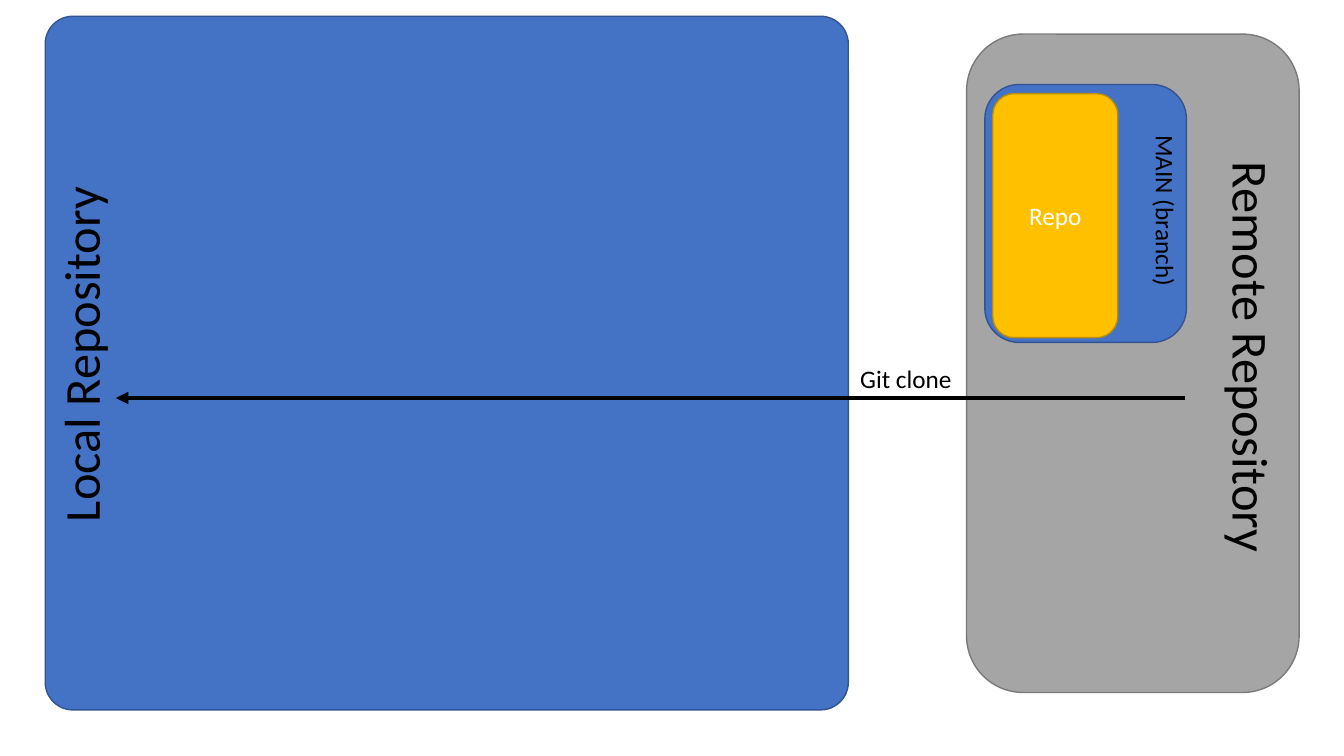
from lxml import etree
from pptx import Presentation
from pptx import util as u
from pptx.dml.color import RGBColor
from pptx.enum import shapes, text
from pptx.oxml import ns

COLOURS = {
    "grey": "A5A5A5", "grey edge": "7A7A7A",
    "blue": "4472C4", "blue edge": "325491",
    "gold": "FFC000", "gold edge": "BD8E00",
    "black": "000000", "white": "FFFFFF",
}


def colour(name):
    return RGBColor.from_string(COLOURS[name])


def write(shape, words, size, ink):
    frame = shape.text_frame
    frame.word_wrap = True
    frame.text = words
    paragraph = frame.paragraphs[0]
    paragraph.alignment = text.PP_ALIGN.CENTER
    font = paragraph.runs[0].font
    font.name = "Calibri"
    font.size = u.Pt(size)
    font.color.rgb = colour(ink)


deck = Presentation()
deck.slide_width, deck.slide_height = u.Cm(33.87), u.Cm(19.05)
slide = deck.slides.add_slide(deck.slide_layouts[6])

# Repositories, branch and its content, from back to front
areas = [
    # left, top, width, height, corner, fill, words
    (24.36, 0.86, 8.38, 16.59, 0.17, "grey", ""),
    (1.14, 0.41, 20.24, 17.48, 0.04, "blue", ""),
    (24.82, 2.13, 5.08, 6.5, 0.17, "blue", ""),
    (25.02, 2.36, 3.15, 6.15, 0.17, "gold", "Repo"),
]
for left, top, width, height, corner, fill, words in areas:
    area = slide.shapes.add_shape(
        shapes.MSO_SHAPE.ROUNDED_RECTANGLE,
        u.Cm(left), u.Cm(top), u.Cm(width), u.Cm(height))
    area.adjustments[0] = corner
    area.shadow.inherit = False
    area.fill.solid()
    area.fill.fore_color.rgb = colour(fill)
    area.line.color.rgb = colour(fill + " edge")
    area.line.width = u.Pt(1)
    if words:
        area.text_frame.vertical_anchor = text.MSO_ANCHOR.MIDDLE
        write(area, words, 18, "white")

# Labels, some turned to run along a side
labels = [
    # left, top, width, height, rotation, size, words
    (24.43, 8.1, 14.25, 1.8, 90, 36, "Remote Repository"),
    (-3.4, 8.03, 10.85, 1.8, 270, 36, "Local Repository"),
    (27.18, 4.8, 4.39, 1.02, 90, 18, "MAIN (branch)"),
    (20.85, 9.04, 3.96, 1.02, 0, 18, "Git clone"),
]
for left, top, width, height, rotation, size, words in labels:
    label = slide.shapes.add_textbox(
        u.Cm(left), u.Cm(top), u.Cm(width), u.Cm(height))
    label.rotation = rotation
    write(label, words, size, "black")
    label.text_frame.auto_size = text.MSO_AUTO_SIZE.SHAPE_TO_FIT_TEXT

# Clone arrow from remote to local
clone = slide.shapes.add_connector(
    shapes.MSO_CONNECTOR.STRAIGHT,
    u.Cm(29.87), u.Cm(10.03), u.Cm(2.92), u.Cm(10.03))
clone.line.color.rgb = colour("black")
clone.line.width = u.Pt(3)
etree.SubElement(clone.line._get_or_add_ln(), ns.qn("a:tailEnd"), type="triangle")
etree.SubElement(clone._element.spPr, ns.qn("a:effectLst"))

deck.save("out.pptx")
